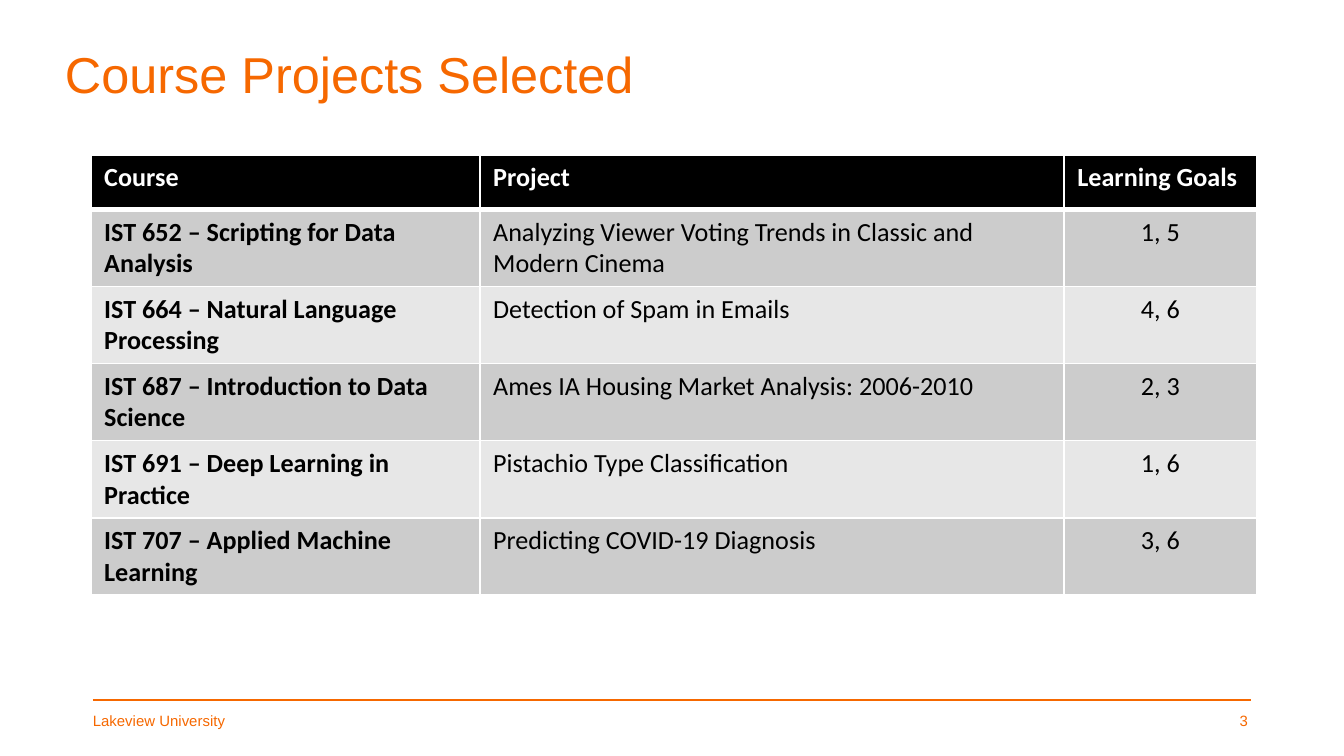
from lxml import etree
from pptx import Presentation
from pptx import util as u
from pptx.dml import color
from pptx.enum import shapes, text
from pptx.oxml import ns

Pt = u.Pt
ORANGE, WHITE, BLACK = "F66800", "FFFFFF", "000000"
BANDS = ["CCCCCC", "E7E7E7"]


def rgb(value):
    return color.RGBColor.from_string(value)


def write(frame, words, ink, font, frame_format={}, **para_format):
    for name, value in frame_format.items():
        setattr(frame, name, value)
    para = frame.paragraphs[0]
    for name, value in para_format.items():
        setattr(para, name, value)
    span = para.add_run()
    span.text = words
    for name, value in font.items():
        setattr(span.font, name, value)
    span.font.color.rgb = rgb(ink)


deck = Presentation()
deck.slide_width, deck.slide_height = Pt(720), Pt(405)
page = deck.slides.add_slide(deck.slide_layouts[5])

tight = dict(margin_left=0, margin_right=0, margin_top=0, margin_bottom=0,
             word_wrap=False, vertical_anchor=text.MSO_ANCHOR.TOP,
             auto_size=text.MSO_AUTO_SIZE.NONE)

title = page.shapes.title
title.left, title.top, title.width, title.height = Pt(34.8), Pt(22.3), Pt(325), Pt(34)
write(title.text_frame, "Course Projects Selected", ORANGE,
      dict(name="Arial", size=Pt(27), bold=False),
      {**tight, "margin_top": Pt(1)}, alignment=text.PP_ALIGN.LEFT, space_before=Pt(1))

rows = [
    ("Course", "Project", "Learning Goals"),
    ("IST 652 – Scripting for Data Analysis",
     "Analyzing Viewer Voting Trends in Classic and Modern Cinema", "1, 5"),
    ("IST 664 – Natural Language Processing", "Detection of Spam in Emails", "4, 6"),
    ("IST 687 – Introduction to Data Science",
     "Ames IA Housing Market Analysis: 2006-2010", "2, 3"),
    ("IST 691 – Deep Learning in Practice", "Pistachio Type Classification", "1, 6"),
    ("IST 707 – Applied Machine Learning", "Predicting COVID-19 Diagnosis", "3, 6"),
]
widths = [208.4, 313, 103.4]
row_height = 29.2
table = page.shapes.add_table(len(rows), len(widths), Pt(48.6), Pt(83), Pt(sum(widths)),
                              Pt(row_height * len(rows))).table
for column, width in zip(table.columns, widths):
    column.width = Pt(width)

for r, row in enumerate(rows):
    for c, words in enumerate(row):
        cell = table.cell(r, c)
        header = r == 0
        cell.fill.solid()
        cell.fill.fore_color.rgb = rgb(BLACK if header else BANDS[(r - 1) % 2])
        centred = c == 2 and not header
        write(cell.text_frame, words, WHITE if header else BLACK,
              dict(name="Calibri", size=Pt(14), bold=header or c == 0),
              alignment=text.PP_ALIGN.CENTER if centred else text.PP_ALIGN.LEFT)
        borders = dict(lnL=1, lnR=1, lnT=3 if r == 1 else 1, lnB=3 if header else 1)
        for place, (side, weight) in enumerate(borders.items()):
            line = etree.Element(ns.qn("a:" + side), w=str(Pt(weight)))
            fill = etree.SubElement(line, ns.qn("a:solidFill"))
            etree.SubElement(fill, ns.qn("a:srgbClr"), val=WHITE)
            cell._tc.get_or_add_tcPr().insert(place, line)

rule = page.shapes.add_connector(shapes.MSO_CONNECTOR.STRAIGHT,
                                 Pt(49.7), Pt(375.1), Pt(670.3), Pt(375.1))
rule.line.color.rgb = rgb(ORANGE)
rule.line.width = Pt(0.75)
etree.SubElement(rule._element.spPr, ns.qn("a:effectLst"))

footers = [
    ("Lakeview University", 49.7, 73, text.PP_ALIGN.LEFT),
    ("3", 658.8, 15, text.PP_ALIGN.CENTER),
]
for words, left, width, alignment in footers:
    box = page.shapes.add_textbox(Pt(left), Pt(381), Pt(width), Pt(11))
    write(box.text_frame, words, ORANGE, dict(name="Arial", size=Pt(8)), tight,
          alignment=alignment, space_before=Pt(0.2))

deck.save("out.pptx")
